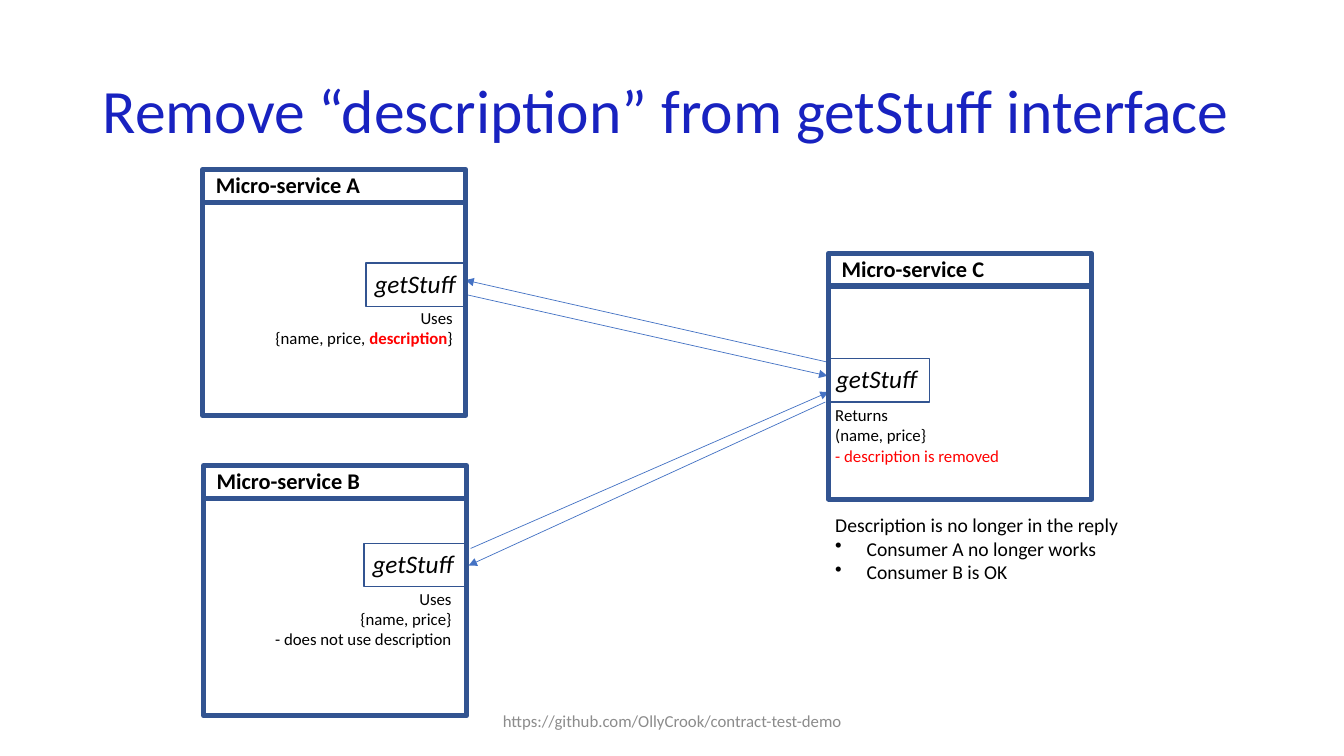
import pptx
import pptx.util
import pptx.dml.color
import pptx.enum.shapes
import pptx.enum.text
import pptx.oxml
import pptx.oxml.ns
from lxml import etree

Cm, Pt = pptx.util.Cm, pptx.util.Pt
ALIGN = pptx.enum.text.PP_ALIGN
ANCHOR = pptx.enum.text.MSO_ANCHOR


class Theme:
    font = "Calibri"
    title, ink, alert, footer = "1822C0", "000000", "FF0000", "8C8C8C"
    frame, arrow = "325491", "4472C4"
    title_size, call_size, name_size, summary_size, note_size = 44, 18, 16, 14, 12
    frame_line, call_line, arrow_line = 3.5, 1, 0.5


# Content: all lengths in centimetres
TITLE = "Remove “description” from getStuff interface"
FOOTER = "https://github.com/OllyCrook/contract-test-demo"
CALL = "getStuff"
# Each note is a list of paragraphs; each paragraph is a list of (text, is_alert, is_bold)
SERVICES = [
    {"name": "Micro-service A", "corner": (5.11, 4.27), "body_height": 5.38,
     "call": (9.22, 6.63), "note_at": (6.63, 7.62, 5.03, 1.27), "align": ALIGN.RIGHT,
     "note": [[("Uses", False, False)],
              [("{name, price, ", False, False), ("description", True, True),
               ("}", False, False)]]},
    {"name": "Micro-service B", "corner": (5.13, 11.73), "body_height": 5.49,
     "call": (9.17, 13.69), "note_at": (6.17, 14.71, 5.46, 1.8), "align": ALIGN.RIGHT,
     "note": [[("Uses", False, False)],
              [("{name, price}", False, False)],
              [("- does not use description", False, False)]]},
    {"name": "Micro-service C", "corner": (20.88, 6.38), "body_height": 5.38,
     "call": (20.85, 9.04), "note_at": (20.8, 10.08, 4.7, 2.31), "align": ALIGN.LEFT,
     "note": [[("Returns", False, False)],
              [("(name, price}", False, False)],
              [("- description is removed", True, False)]]},
]
ARROWS = [
    ((11.73, 7.42), (20.85, 9.47)),
    ((11.86, 13.82), (20.88, 9.88)),
    ((20.83, 9.12), (11.73, 7.06)),
    ((20.8, 10.13), (11.81, 14.25)),
]
SUMMARY = "Description is no longer in the reply"
CONSUMERS = ["Consumer A no longer works", "Consumer B is OK"]

SERVICE_WIDTH, HEADER_HEIGHT, BODY_OFFSET = 6.63, 0.84, 0.82
CALL_WIDTH, CALL_HEIGHT = 2.57, 1.09
BULLET_INDENT = 0.79

deck = pptx.Presentation()
deck.slide_width, deck.slide_height = Cm(33.87), Cm(19.05)
page = deck.slides.add_slide(deck.slide_layouts[6])


def rgb(value):
    return pptx.dml.color.RGBColor.from_string(value)


def add_text(place, paragraphs, size, color=Theme.ink, align=ALIGN.LEFT,
             anchor=ANCHOR.TOP, wrap=True, bold=False, italic=False):
    box = page.shapes.add_textbox(*map(Cm, place))
    frame = box.text_frame
    frame.word_wrap, frame.vertical_anchor = wrap, anchor
    for index, spans in enumerate(paragraphs):
        para = frame.paragraphs[0] if index == 0 else frame.add_paragraph()
        para.alignment = align
        font = para.font
        font.name, font.size, font.bold, font.italic = Theme.font, Pt(size), bold, italic
        font.color.rgb = rgb(color)
        for text, is_alert, is_bold in spans:
            span = para.add_run()
            span.text = text
            if is_alert:
                span.font.color.rgb = rgb(Theme.alert)
            if is_bold:
                span.font.bold = True
    return frame


def plain(*lines):
    return [[(line, False, False)] for line in lines]


def add_outline(left, top, width, height, weight):
    box = page.shapes.add_shape(pptx.enum.shapes.MSO_SHAPE.RECTANGLE,
                                *map(Cm, (left, top, width, height)))
    box.shadow.inherit = False
    box.fill.background()
    box.line.color.rgb = rgb(Theme.frame)
    box.line.width = Pt(weight)


def add_arrow(start, end):
    arrow = page.shapes.add_connector(pptx.enum.shapes.MSO_CONNECTOR.STRAIGHT,
                                      *map(Cm, start + end))
    arrow.line.color.rgb = rgb(Theme.arrow)
    arrow.line.width = Pt(Theme.arrow_line)
    qn = pptx.oxml.ns.qn
    etree.SubElement(arrow.line._get_or_add_ln(), qn("a:tailEnd"), type="triangle")
    etree.SubElement(arrow._element.spPr, qn("a:effectLst"))


def add_bullet(para):
    props = para._p.get_or_add_pPr()
    props.set("marL", str(Cm(BULLET_INDENT)))
    props.set("indent", str(-Cm(BULLET_INDENT)))
    bullet = pptx.oxml.parse_xml(
        '<a:buChar %s char="•"/>' % pptx.oxml.ns.nsdecls("a"))
    props.insert(0, bullet)


# Title
title = add_text((2.34, 1.02, 30.96, 3.68), plain(TITLE), Theme.title_size,
                 Theme.title, anchor=ANCHOR.MIDDLE)
title.paragraphs[0].line_spacing = 0.9

# Calls between the services
for start, end in ARROWS:
    add_arrow(start, end)

# Services: body, header, interface and its note
for service in SERVICES:
    left, top = service["corner"]
    add_outline(left, top + BODY_OFFSET, SERVICE_WIDTH, service["body_height"],
                Theme.frame_line)
    add_text((left + 0.08, top - 0.08, 4.19, 0.94), plain(service["name"]),
             Theme.name_size, wrap=False, bold=True)
    add_outline(left, top, SERVICE_WIDTH, HEADER_HEIGHT, Theme.frame_line)

    call_left, call_top = service["call"]
    add_text((call_left - 0.03, call_top, CALL_WIDTH, 1.02), plain(CALL),
             Theme.call_size, wrap=False, italic=True)
    add_outline(call_left, call_top, CALL_WIDTH, CALL_HEIGHT, Theme.call_line)
    add_text(service["note_at"], service["note"], Theme.note_size,
             align=service["align"])

# Summary
summary = add_text((20.8, 12.8, 7.82, 2.64), plain(SUMMARY, *CONSUMERS),
                   Theme.summary_size, wrap=False)
for para in summary.paragraphs[1:]:
    add_bullet(para)

# Footer
add_text((11.23, 17.65, 11.43, 1.02), plain(FOOTER), Theme.note_size, Theme.footer,
         align=ALIGN.CENTER, anchor=ANCHOR.MIDDLE)

deck.save("out.pptx")
